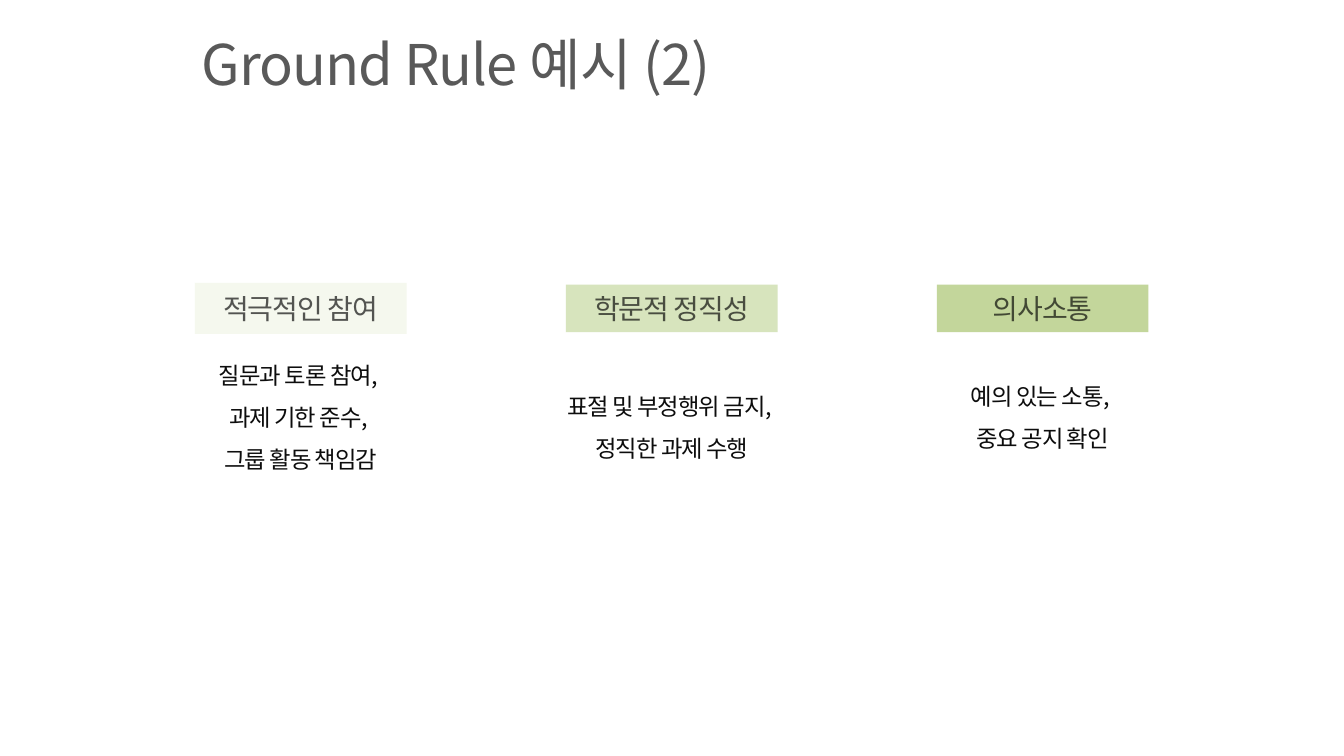
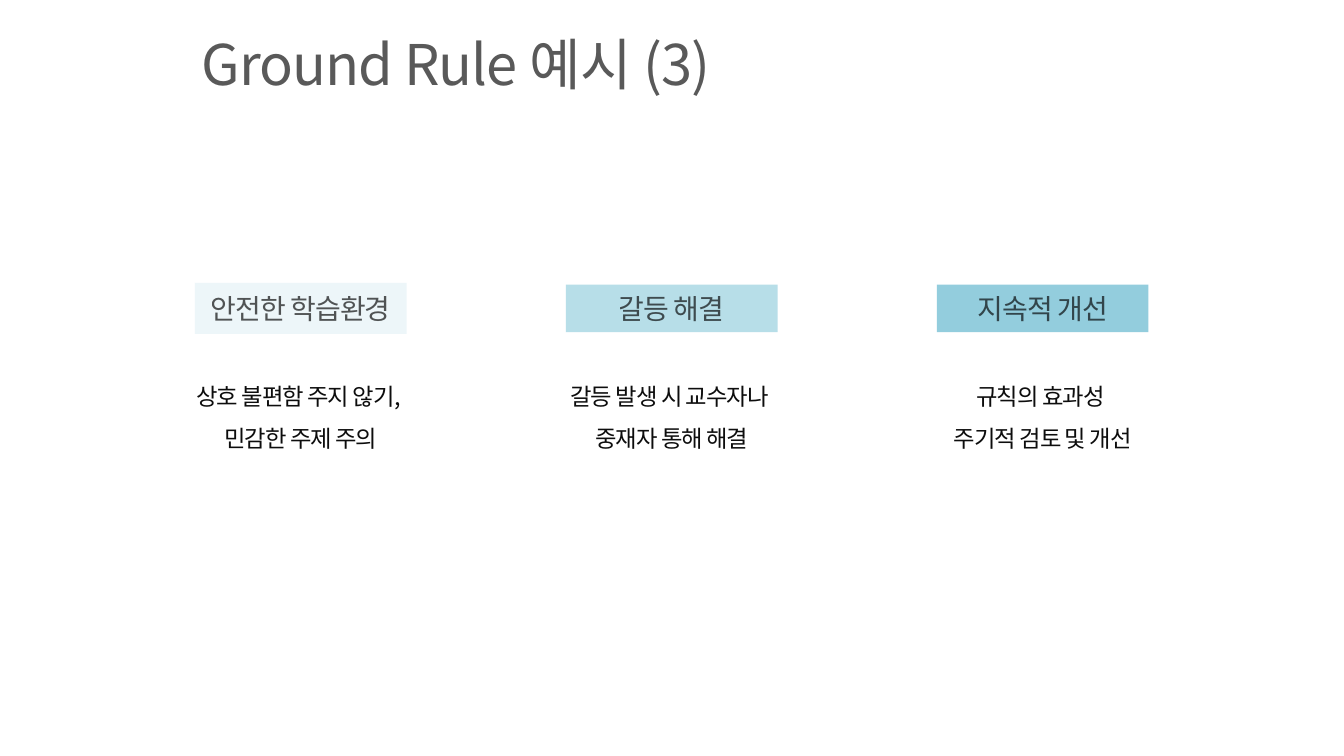
from dataclasses import dataclass

import pptx
import pptx.dml.color
import pptx.enum.shapes
import pptx.enum.text
import pptx.oxml.ns
import pptx.presentation
import pptx.shapes.base
import pptx.slide
import pptx.util
from lxml import etree

Cm = pptx.util.Cm
Align = pptx.enum.text.PP_ALIGN


@dataclass(frozen=True)
class TextStyle:
    size: int
    color: str
    align: Align = Align.CENTER
    line_spacing: float = 1.0
    opacity: int = 100


@dataclass(frozen=True)
class Theme:
    font: str = "Noto Sans CJK KR"
    tracking: int = -100  # hundredths of a point
    title: TextStyle = TextStyle(60, "595959", Align.LEFT)
    heading: TextStyle = TextStyle(30, "000000", opacity=66)
    body: TextStyle = TextStyle(25, "0D0D0D", line_spacing=1.5)
    greens: tuple[str, ...] = ("F5F8EE", "D7E4BD", "C3D69B")
    blues: tuple[str, ...] = ("EDF6F9", "B7DEE8", "93CDDD")


@dataclass(frozen=True)
class Rule:
    heading: str
    lines: tuple[str, ...]
    body_top: float = 13.89


@dataclass(frozen=True)
class RulePage:
    title: str
    colors: tuple[str, ...]
    rules: tuple[Rule, ...]


THEME = Theme()

# Column layout in centimetres
FIRST_CENTER, COLUMN_PITCH = 11.37, 14.02
BAND_WIDTH, BAND_MIDDLE = 8.0, 11.66
BAND_HEIGHTS = (1.93, 1.8, 1.8)
BODY_WIDTH, BODY_HEIGHT = 12.45, 3.2

PAGES = (
    RulePage("Ground Rule 예시 (2)", THEME.greens, (
        Rule("적극적인 참여", ("질문과 토론 참여, ", "과제 기한 준수, ", "그룹 활동 책임감")),
        Rule("학문적 정직성", ("표절 및 부정행위 금지, ", "정직한 과제 수행"), body_top=14.27),
        Rule("의사소통", ("예의 있는 소통, ", "중요 공지 확인")),
    )),
    RulePage("Ground Rule 예시 (3)", THEME.blues, (
        Rule("안전한 학습환경", ("상호 불편함 주지 않기, ", "민감한 주제 주의")),
        Rule("갈등 해결", ("갈등 발생 시 교수자나 ", "중재자 통해 해결")),
        Rule("지속적 개선", ("규칙의 효과성 ", "주기적 검토 및 개선")),
    )),
)


def set_attributes(target: object, values: dict[str, object]) -> None:
    for name, value in values.items():
        setattr(target, name, value)


def write_text(box: pptx.shapes.base.BaseShape, lines: tuple[str, ...], style: TextStyle) -> None:
    frame = box.text_frame
    set_attributes(frame, {
        "margin_left": 0, "margin_top": 0, "margin_right": 0, "margin_bottom": 0,
        "word_wrap": True,
        "auto_size": pptx.enum.text.MSO_AUTO_SIZE.NONE,
        "vertical_anchor": pptx.enum.text.MSO_ANCHOR.MIDDLE,
    })
    for index, line in enumerate(lines):
        para = frame.add_paragraph() if index else frame.paragraphs[0]
        set_attributes(para, {"alignment": style.align, "line_spacing": style.line_spacing})
        span = para.add_run()
        span.text = line
        set_attributes(span.font, {"name": THEME.font, "size": pptx.util.Pt(style.size)})
        span.font.color.rgb = pptx.dml.color.RGBColor.from_string(style.color)
        add_run_details(span, style.opacity)


def add_run_details(span: object, opacity: int) -> None:
    """Set tracking, the East Asian font and opacity, which need XML."""
    qn = pptx.oxml.ns.qn
    properties = span._r.get_or_add_rPr()
    properties.set("spc", str(THEME.tracking))
    etree.SubElement(properties, qn("a:ea"), typeface=THEME.font)
    if opacity < 100:
        color = properties.find(".//" + qn("a:srgbClr"))
        etree.SubElement(color, qn("a:alpha"), val=str(opacity * 1000))


def add_title(page: pptx.slide.Slide, text: str) -> None:
    box = page.shapes.title
    set_attributes(box, {"left": Cm(7.62), "top": Cm(0.89), "width": Cm(25.6), "height": Cm(3.02)})
    write_text(box, (text,), THEME.title)


def add_rule(page: pptx.slide.Slide, rule: Rule, color: str, column: int) -> None:
    """Draw a coloured heading band with its text centred below."""
    center = FIRST_CENTER + column * COLUMN_PITCH
    height = BAND_HEIGHTS[column]
    band = page.shapes.add_shape(
        pptx.enum.shapes.MSO_SHAPE.RECTANGLE,
        Cm(center - BAND_WIDTH / 2), Cm(BAND_MIDDLE - height / 2), Cm(BAND_WIDTH), Cm(height))
    band.shadow.inherit = False
    band.fill.solid()
    band.fill.fore_color.rgb = pptx.dml.color.RGBColor.from_string(color)
    band.line.fill.background()
    write_text(band, (rule.heading,), THEME.heading)
    body = page.shapes.add_textbox(
        Cm(center - BODY_WIDTH / 2), Cm(rule.body_top), Cm(BODY_WIDTH), Cm(BODY_HEIGHT))
    write_text(body, rule.lines, THEME.body)


def add_rule_page(deck: pptx.presentation.Presentation, content: RulePage) -> None:
    page = deck.slides.add_slide(deck.slide_layouts.get_by_name("Title Only"))
    add_title(page, content.title)
    for column, (rule, color) in enumerate(zip(content.rules, content.colors)):
        add_rule(page, rule, color, column)


def main() -> None:
    deck = pptx.Presentation()
    set_attributes(deck, {"slide_width": Cm(50.8), "slide_height": Cm(28.58)})
    for content in PAGES:
        add_rule_page(deck, content)
    deck.save("out.pptx")


if __name__ == "__main__":
    main()
